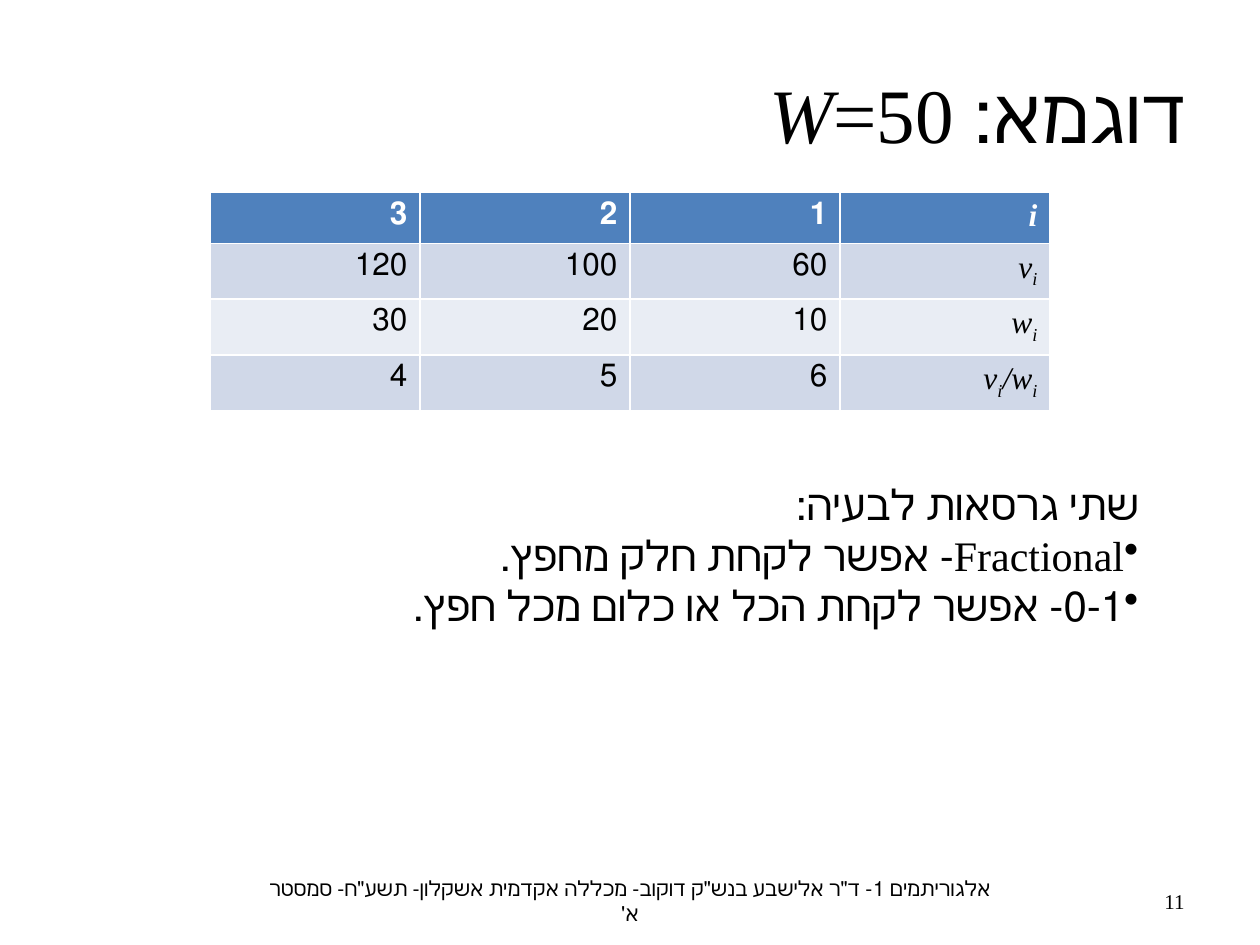
from lxml.etree import SubElement
from pptx import Presentation
from pptx.dml.color import RGBColor
from pptx.enum.text import MSO_ANCHOR as Anchor, PP_ALIGN as Align
from pptx.oxml.ns import qn
from pptx.util import Pt

COLORS = {"text": "000000", "header": "4F81BD", "header_text": "FFFFFF",
          "band_dark": "D0D8E8", "band_light": "E9EDF4"}
FONT = "Times New Roman"
PLAIN, ITALIC, SUBSCRIPT = "plain", "italic", "subscript"

ITEMS = [
    ["3", "2", "1", [("i", ITALIC)]],
    ["120", "100", "60", [("v", ITALIC), ("i", SUBSCRIPT)]],
    ["30", "20", "10", [("w", ITALIC), ("i", SUBSCRIPT)]],
    ["4", "5", "6", [("v", ITALIC), ("i", SUBSCRIPT),
                     ("/w", ITALIC), ("i", SUBSCRIPT)]],
]
VERSIONS = [
    ("שתי גרסאות לבעיה:", False),
    ("Fractional- אפשר לקחת חלק מחפץ.", True),
    ("0-1- אפשר לקחת הכל או כלום מכל חפץ.", True),
]


def write(paragraph, content, size, align=Align.RIGHT, rtl=True,
          color="text", bold=False):
    """Fill a paragraph from a string or a list of (text, style) pairs."""
    paragraph.alignment = align
    if rtl:
        paragraph._p.get_or_add_pPr().set("rtl", "1")
    runs = [(content, PLAIN)] if isinstance(content, str) else content
    for text, style in runs:
        run = paragraph.add_run()
        run.text = text
        formats = {"name": FONT, "size": Pt(size), "bold": bold,
                   "italic": style != PLAIN}
        for attribute, value in formats.items():
            setattr(run.font, attribute, value)
        run.font.color.rgb = RGBColor.from_string(COLORS[color])
        if style == SUBSCRIPT:
            run._r.get_or_add_rPr().set("baseline", "-25000")


def add_bullet(paragraph):
    properties = paragraph._p.get_or_add_pPr()
    properties.set("marL", "0")
    properties.set("indent", "0")
    SubElement(properties, qn("a:buChar"), char="•")


def add_text_frame(slide, box, anchor):
    frame = slide.shapes.add_textbox(*map(Pt, box)).text_frame
    frame.word_wrap = True
    frame.vertical_anchor = anchor
    return frame


def add_line(slide, box, content, size, **options):
    frame = add_text_frame(slide, box, Anchor.MIDDLE)
    write(frame.paragraphs[0], content, size, **options)


def add_item_table(slide, box):
    left, top, width, height = box
    row_count, column_count = len(ITEMS), len(ITEMS[0])
    table = slide.shapes.add_table(row_count, column_count,
                                   *map(Pt, box)).table
    for column in table.columns:
        column.width = Pt(width / column_count)
    for r, values in enumerate(ITEMS):
        table.rows[r].height = Pt(height / row_count)
        header = r == 0
        fill = "header" if header else "band_dark" if r % 2 else "band_light"
        for c, value in enumerate(values):
            cell = table.cell(r, c)
            cell.fill.solid()
            cell.fill.fore_color.rgb = RGBColor.from_string(COLORS[fill])
            write(cell.text_frame.paragraphs[0], value, 18, bold=header,
                  color="header_text" if header else "text")


def add_versions(slide, box):
    frame = add_text_frame(slide, box, Anchor.TOP)
    for index, (text, bulleted) in enumerate(VERSIONS):
        paragraph = frame.add_paragraph() if index else frame.paragraphs[0]
        write(paragraph, text, 24)
        if bulleted:
            add_bullet(paragraph)


def main():
    deck = Presentation()
    deck.slide_width, deck.slide_height = Pt(720), Pt(540)
    slide = deck.slides.add_slide(deck.slide_layouts[6])
    add_line(slide, (146, 500.4, 428, 28.8),
             "אלגוריתמים 1- ד\"ר אלישבע בנש\"ק דוקוב- "
             "מכללה אקדמית אשקלון- תשע\"ח- סמסטר א'",
             12, align=Align.CENTER)
    add_line(slide, (516, 500.4, 168, 28.8), "11", 12, rtl=False)
    add_line(slide, (28, 22.5, 658, 84),
             [("דוגמא: ", PLAIN), ("W", ITALIC), ("=50", PLAIN)], 44)
    add_item_table(slide, (120, 110, 480, 116.8))
    add_versions(slide, (90, 270, 568, 94.5))
    deck.save("out.pptx")


if __name__ == "__main__":
    main()
